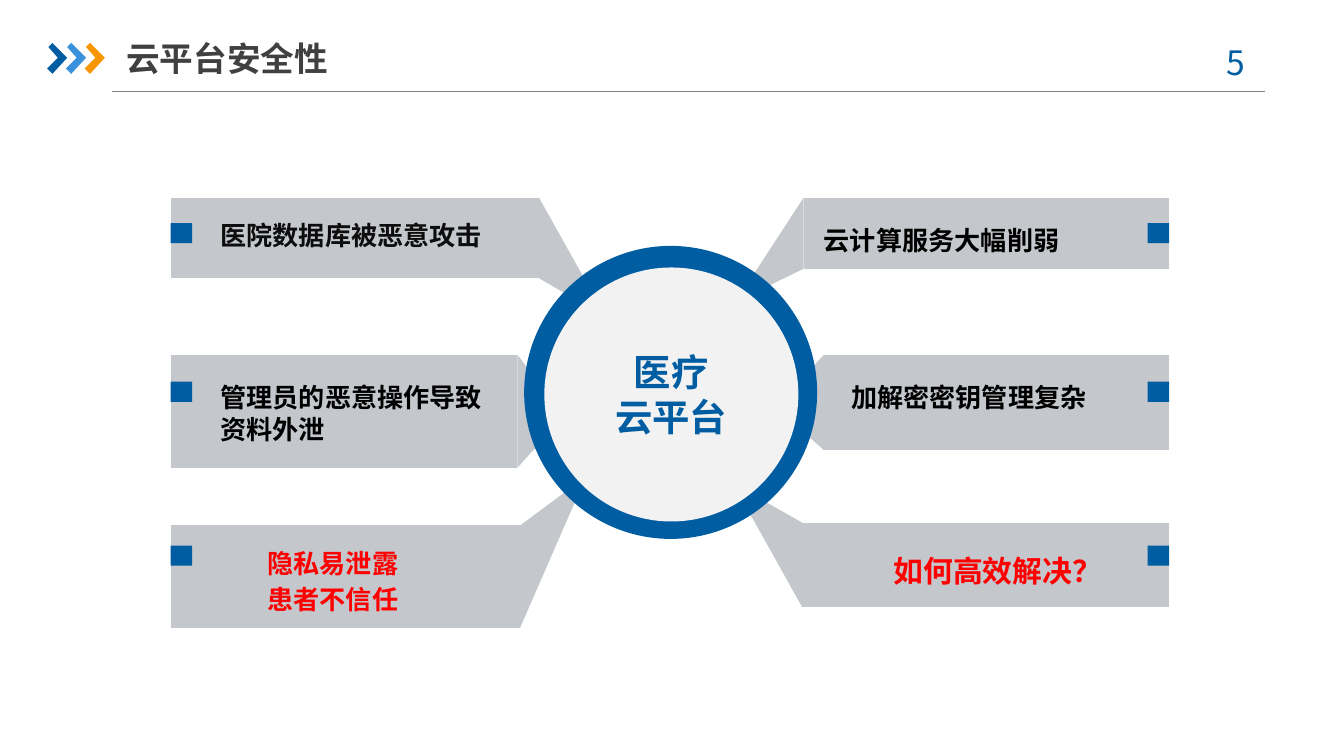
from lxml import etree
from pptx import Presentation
from pptx import util as u
from pptx.dml.color import RGBColor
from pptx.enum import shapes, text
from pptx.oxml.ns import qn

FONT = "Noto Sans CJK SC"
BLUE, GRAY = "005DA2", "C4C7CB"
CHEVRONS = [(0.35, BLUE), (0.49, "3992DB"), (0.63, "F79600")]
CHEVRON = [(0.01, 0.35), (0.04, 0.32), (0.15, 0.43), (0.04, 0.55), (0, 0.51), (0.08, 0.43)]
LEFT, RIGHT = 1.27, 8.7
BANNERS = [
    (LEFT, 4.01, 1.47, 2.07, [(4.43, 2.22), (4.37, 2.28)]),
    (LEFT, 3.85, 2.64, 3.48, [(4.13, 3.01), (4.13, 3.17)]),
    (LEFT, 3.87, 3.91, 4.67, [(4.22, 3.65), (4.28, 3.73)]),
    (RIGHT, 5.98, 1.47, 2.0, [(5.55, 2.13), (5.61, 2.18)]),
    (RIGHT, 6.13, 2.64, 3.35, [(5.84, 2.95), (5.84, 3.09)]),
    (RIGHT, 5.97, 3.89, 4.52, [(5.6, 3.68), (5.54, 3.75)]),
]
MARK_W, MARK_H = 0.16, 0.15
MARK_TOPS = [1.66, 2.84, 4.06]
TITLE = "云平台安全性"
CENTER = ["医疗", "云平台"]
LABELS = [
    ((1.64, 1.58, 2.57, 0.51), ["医院数据库被恶意攻击"], {"color": "0D0D0D"}),
    ((1.64, 2.79, 2.14, 0.57), ["管理员的恶意操作导致资料外泄"], {}),
    ((1.99, 4.02, 2.14, 0.62), ["隐私易泄露", "患者不信任"], {"color": "FF0000"}),
    ((6.13, 1.62, 2.14, 0.31), ["云计算服务大幅削弱"], {}),
    ((5.98, 2.79, 2.46, 0.31), ["加解密密钥管理复杂"], {"align": text.PP_ALIGN.CENTER}),
    ((6.65, 4.06, 2.14, 0.31), ["如何高效解决？"], {"color": "FF0000", "size": 16}),
]


def rgb(value):
    return RGBColor.from_string(value)


def box(values):
    return [u.Inches(v) for v in values]


def paint(sp, color):
    sp.shadow.inherit = False
    sp.fill.solid()
    sp.fill.fore_color.rgb = rgb(color)
    sp.line.fill.background()
    return sp


def polygon(s, points, color):
    points = [box(point) for point in points]
    fb = s.shapes.build_freeform(*points[0])
    fb.add_line_segments(points[1:], close=True)
    return paint(fb.convert_to_shape(), color)


def write(sp, lines, size=14, color="000000", bold=True, align=text.PP_ALIGN.LEFT,
          anchor=text.MSO_ANCHOR.TOP, inset=0, before=0):
    tf = sp.text_frame
    frame = {"word_wrap": True, "auto_size": text.MSO_AUTO_SIZE.NONE,
             "vertical_anchor": anchor,
             "margin_left": u.Inches(inset), "margin_right": u.Inches(inset),
             "margin_top": u.Inches(0.05), "margin_bottom": u.Inches(0.05)}
    for name, value in frame.items():
        setattr(tf, name, value)
    for i, line in enumerate(lines):
        p = tf.add_paragraph() if i else tf.paragraphs[0]
        layout = {"alignment": align, "line_spacing": 1.0, "space_before": u.Pt(before)}
        for name, value in layout.items():
            setattr(p, name, value)
        r = p.add_run()
        r.text = line
        for name, value in {"size": u.Pt(size), "bold": bold, "name": FONT}.items():
            setattr(r.font, name, value)
        r.font.color.rgb = rgb(color)
        etree.SubElement(r.font._element, qn("a:ea"), typeface=FONT)


prs = Presentation()
prs.slide_width = u.Inches(10)
prs.slide_height = prs.slide_width * 9 // 16
s = prs.slides.add_slide(prs.slide_layouts[5])

rule = s.shapes.add_connector(shapes.MSO_CONNECTOR.STRAIGHT, *box((0.83, 0.68, 9.41, 0.68)))
rule.line.color.rgb = rgb("808080")
rule.line.width = u.Pt(0.75)
etree.SubElement(rule._element.spPr, qn("a:effectLst"))

for x, color in CHEVRONS:
    polygon(s, [(x + dx, y) for dx, y in CHEVRON], color)

number = s.shapes.add_textbox(*box((8.86, 0.26, 0.73, 0.4)))
write(number, ["5 "], size=18, color=BLUE, bold=False, align=text.PP_ALIGN.CENTER, inset=0.1)

for outer, inner, top, bottom, tip in BANNERS:
    polygon(s, [(outer, top), (inner, top), (inner, bottom), (outer, bottom)], GRAY)
    high, low = tip
    polygon(s, [(inner, top), high, low, (inner, bottom)], GRAY)

for x in (LEFT, RIGHT - MARK_W):
    for y in MARK_TOPS:
        paint(s.shapes.add_shape(shapes.MSO_SHAPE.RECTANGLE, *box((x, y, MARK_W, MARK_H))), BLUE)

title = s.shapes.title
title.left, title.top, title.width, title.height = box((0.94, 0.22, 2.33, 0.42))
write(title, [TITLE], size=18, color="404040", anchor=text.MSO_ANCHOR.MIDDLE)

for place, lines, style in LABELS:
    write(s.shapes.add_textbox(*box(place)), lines, before=2.8, **style)

paint(s.shapes.add_shape(shapes.MSO_SHAPE.OVAL, *box((3.9, 1.83, 2.18, 2.18))), BLUE)
hub = paint(s.shapes.add_shape(shapes.MSO_SHAPE.OVAL, *box((4.05, 1.99, 1.89, 1.89))), "F2F2F2")
write(hub, CENTER, size=20, color=BLUE, align=text.PP_ALIGN.CENTER,
      anchor=text.MSO_ANCHOR.MIDDLE, inset=0.1)

prs.save("out.pptx")
